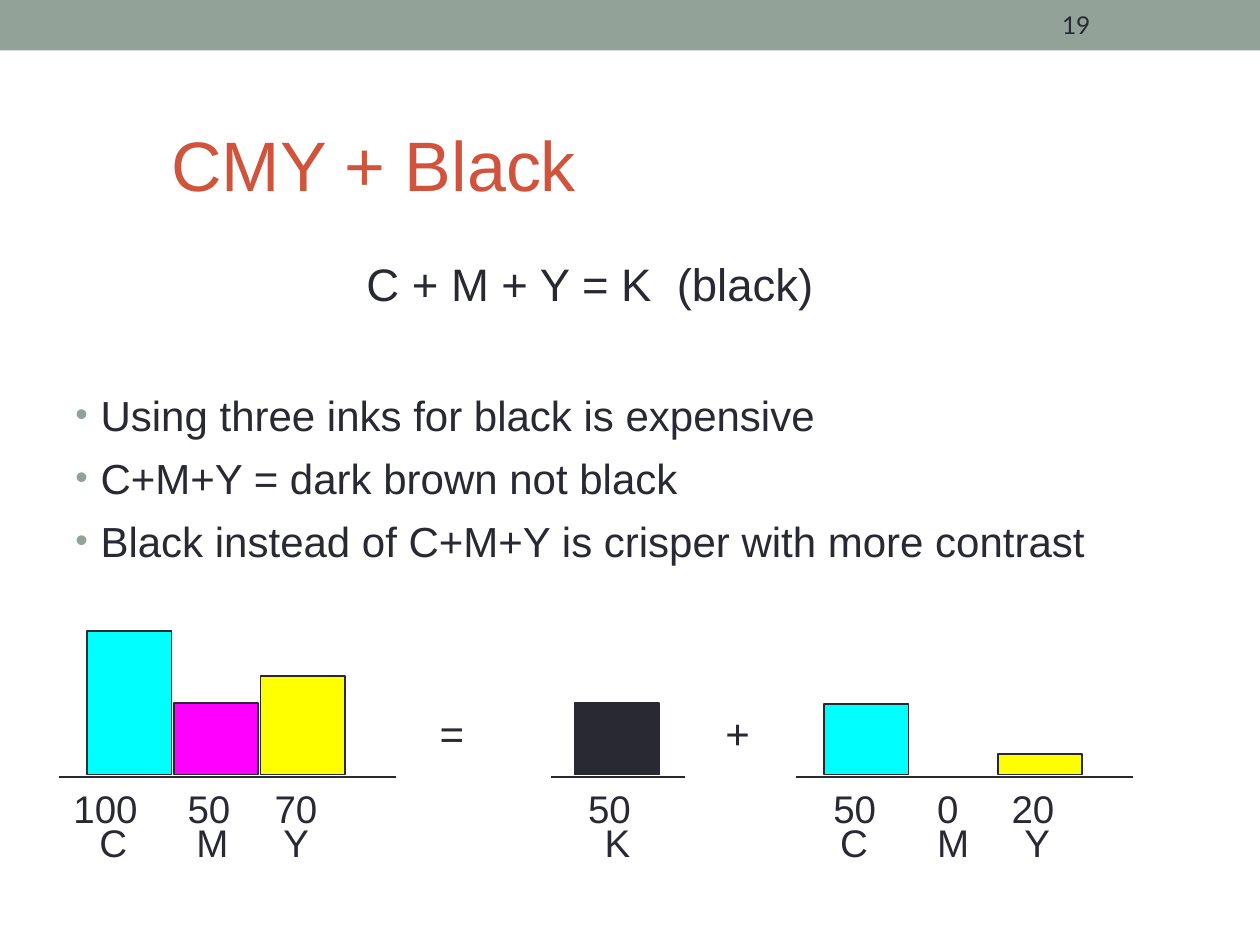
"""Build the slide on adding black ink to cyan, magenta and yellow."""
from lxml import etree
from pptx import Presentation
from pptx.dml.color import RGBColor
from pptx.enum.shapes import MSO_CONNECTOR, MSO_SHAPE
from pptx.enum.text import MSO_ANCHOR, MSO_AUTO_SIZE, PP_ALIGN
from pptx.oxml.ns import qn
from pptx.util import Pt

STRAIGHT = MSO_CONNECTOR.STRAIGHT
RECTANGLE = MSO_SHAPE.RECTANGLE
MIDDLE = MSO_ANCHOR.MIDDLE
FIT_SHAPE = MSO_AUTO_SIZE.SHAPE_TO_FIT_TEXT
NO_AUTOFIT = MSO_AUTO_SIZE.NONE
LEFT = PP_ALIGN.LEFT

INK = RGBColor(0x29, 0x29, 0x34)
SAGE = RGBColor(0x93, 0xA2, 0x99)
RUST = RGBColor(0xD2, 0x53, 0x3C)
CYAN = RGBColor(0x00, 0xFF, 0xFF)
MAGENTA = RGBColor(0xFF, 0x00, 0xFF)
YELLOW = RGBColor(0xFF, 0xFF, 0x00)

BAR_WIDTH = 48.3
BAR_BOTTOM = 442.6
AXIS_TOP = 444.2
VALUE_TOP = 445
LETTER_TOP = 464.4
LABEL_SIZE = 22
LABEL_PADDING = 14.4
DIGIT_WIDTH = 12.2
LETTER_WIDTHS = {"C": 15.9, "M": 18.3, "Y": 14.7, "K": 14.7}

POINTS = (
    "Using three inks for black is expensive",
    "C+M+Y = dark brown not black",
    "Black instead of C+M+Y is crisper with more contrast",
)

# Axis start and end, then per ink: letter, value, colour, height and the lefts of bar, value, letter.
CHARTS = (
    (33.9, 226.1, (
        ("C", 100, CYAN, 82, 49.7, 34.9, 49.7),
        ("M", 50, MAGENTA, 41, 99.3, 100.1, 105.1),
        ("Y", 70, YELLOW, 56.2, 148.9, 149.8, 154.8),
    )),
    (314.6, 391.7, (
        ("K", 50, INK, 41, 328.3, 329, 338.4),
    )),
    (455, 647.3, (
        ("C", 50, CYAN, 40.3, 470.9, 469.1, 473),
        ("M", 0, MAGENTA, 0, 520.6, 528.5, 528.5),
        ("Y", 20, YELLOW, 11.5, 570.2, 571, 578.2),
    )),
)


def add_run(paragraph, text, size, color=INK, font="Arial"):
    """Append one formatted run to a paragraph."""
    run = paragraph.add_run()
    run.text = text
    run.font.size = Pt(size)
    run.font.name = font
    run.font.color.rgb = color


def add_title(slide, text):
    """Place and format the title placeholder."""
    title = slide.shapes.title
    title.left, title.top = Pt(90.7), Pt(48.2)
    title.width, title.height = Pt(613.4), Pt(90)
    frame = title.text_frame
    frame.vertical_anchor = MIDDLE
    frame.auto_size = NO_AUTOFIT
    frame.paragraphs[0].alignment = LEFT
    add_run(frame.paragraphs[0], text, 40, RUST)


def add_label(slide, text, left, top, width, size=LABEL_SIZE):
    """Add a single-line label that fits its text."""
    label = slide.shapes.add_textbox(Pt(left), Pt(top), Pt(width), Pt(size * 1.15 + 7.2))
    frame = label.text_frame
    frame.word_wrap = False
    frame.auto_size = FIT_SHAPE
    add_run(frame.paragraphs[0], text, size)


def add_page_number(slide, number):
    """Add the page number in the top band."""
    box = slide.shapes.add_textbox(Pt(599.8), Pt(1.4), Pt(84.2), Pt(25.9))
    frame = box.text_frame
    frame.word_wrap = True
    frame.vertical_anchor = MIDDLE
    add_run(frame.paragraphs[0], number, 14, font="Lato")


def add_bullet(paragraph):
    """Give a paragraph a hanging sage bullet."""
    properties = paragraph._p.get_or_add_pPr()
    properties.set("marL", str(Pt(14.4)))
    properties.set("indent", str(-Pt(14.4)))
    color = etree.SubElement(properties, qn("a:buClr"))
    etree.SubElement(color, qn("a:srgbClr"), val=str(SAGE))
    etree.SubElement(properties, qn("a:buSzPct"), val="85000")
    etree.SubElement(properties, qn("a:buFont"), typeface="Arial")
    etree.SubElement(properties, qn("a:buChar"), char="•")


def add_points(slide, points):
    """Add the bulleted list."""
    body = slide.shapes.add_textbox(Pt(36), Pt(216), Pt(612), Pt(126))
    frame = body.text_frame
    frame.word_wrap = True
    frame.margin_top = Pt(6.3)
    for index, point in enumerate(points):
        paragraph = frame.add_paragraph() if index else frame.paragraphs[0]
        add_bullet(paragraph)
        if index:
            paragraph.space_before = Pt(7.3)
        add_run(paragraph, point, 24)


def add_block(slide, left, top, width, height, fill, outlined=True):
    """Add a filled rectangle, with a thin outline if wanted."""
    block = slide.shapes.add_shape(RECTANGLE, Pt(left), Pt(top), Pt(width), Pt(height))
    block.shadow.inherit = False
    block.fill.solid()
    block.fill.fore_color.rgb = fill
    if outlined:
        block.line.color.rgb = INK
        block.line.width = Pt(1)
    else:
        block.line.fill.background()


def add_axis(slide, start, end):
    """Add the base line below a group of bars."""
    axis = slide.shapes.add_connector(STRAIGHT, Pt(start), Pt(AXIS_TOP), Pt(end), Pt(AXIS_TOP))
    axis.line.color.rgb = INK
    axis.line.width = Pt(1)
    etree.SubElement(axis._element.spPr, qn("a:effectLst"))


def add_ink_chart(slide, start, end, inks):
    """Draw one group of ink bars with values and letters."""
    add_axis(slide, start, end)
    for letter, value, color, height, bar_left, value_left, letter_left in inks:
        if height:
            add_block(slide, bar_left, BAR_BOTTOM - height, BAR_WIDTH, height, color)
        value_width = LABEL_PADDING + DIGIT_WIDTH * len(str(value))
        add_label(slide, str(value), value_left, VALUE_TOP, value_width)
        letter_width = LABEL_PADDING + LETTER_WIDTHS[letter]
        add_label(slide, letter, letter_left, LETTER_TOP, letter_width)


def main():
    """Build and save the slide."""
    deck = Presentation()
    deck.slide_width, deck.slide_height = Pt(720), Pt(540)
    slide = deck.slides.add_slide(deck.slide_layouts[5])
    add_block(slide, 0, 0, 720, 28.8, SAGE, outlined=False)
    add_title(slide, "CMY + Black")
    add_points(slide, POINTS)
    add_page_number(slide, "19")
    add_label(slide, "C + M + Y = K  (black)", 202.3, 142.6, 271.4, 26)
    for start, end, inks in CHARTS:
        add_ink_chart(slide, start, end, inks)
    for operator, left in (("=", 244.1), ("+", 407.5)):
        add_label(slide, operator, left, 401, 28.4, 24)
    deck.save("out.pptx")


if __name__ == "__main__":
    main()
